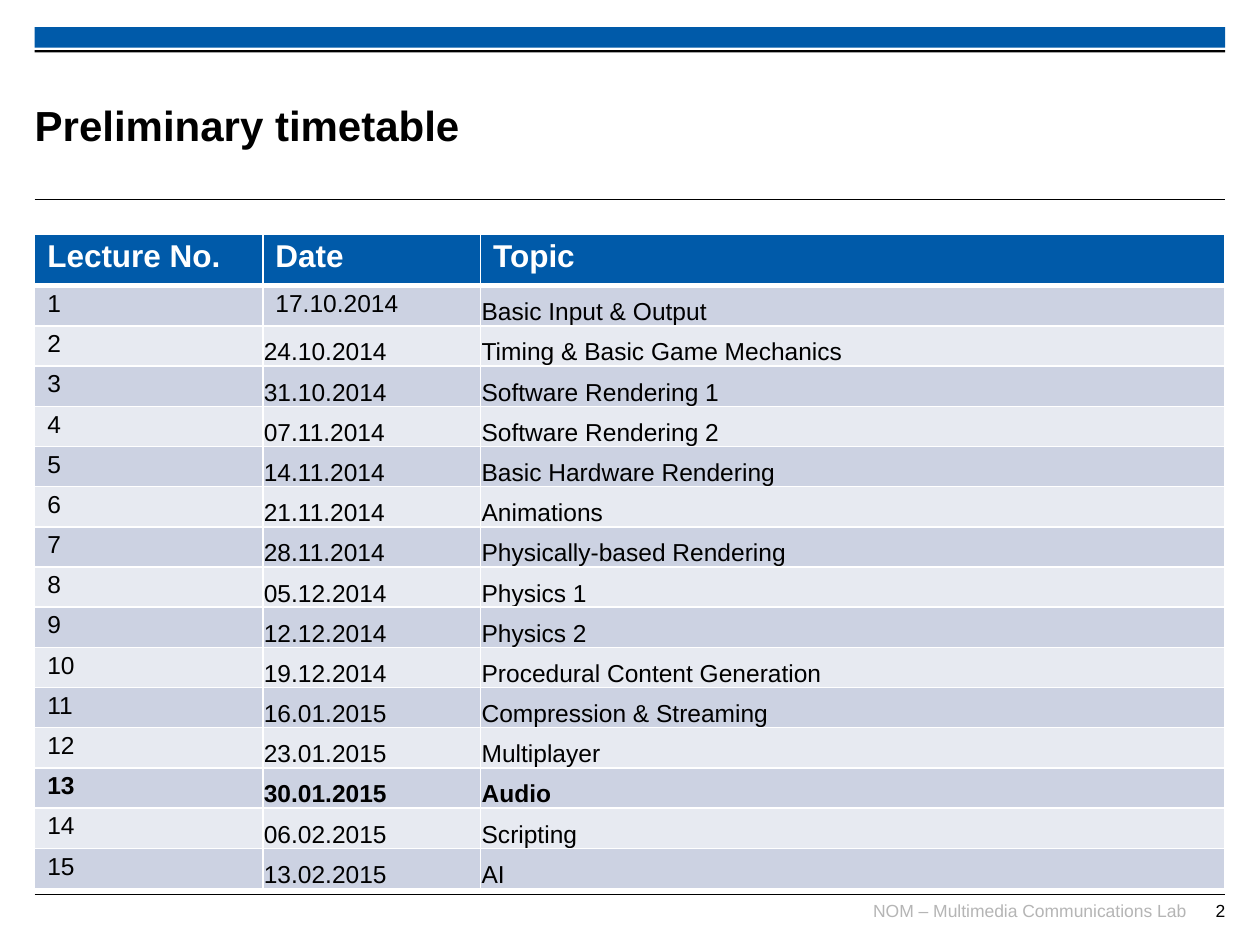
"""Build the lecture timetable slide."""
from lxml import etree
from pptx import Presentation, util as u
from pptx.dml.color import RGBColor
from pptx.enum import shapes, text
from pptx.oxml import ns

HUES = {"blue": "005AA9", "black": "000000", "white": "FFFFFF",
        "grey": "B5B5B5", "odd": "CCD2E2", "even": "E7EAF1"}


def write(para, words, size, hue, bold=False):
    run = para.add_run()
    run.text = words
    run.font.name = "Arial"
    run.font.size = u.Pt(size)
    run.font.bold = bold
    run.font.color.rgb = RGBColor.from_string(HUES[hue])


def edge(cell, side, width):
    line = etree.SubElement(cell._tc.get_or_add_tcPr(), ns.qn("a:ln" + side), w=str(u.Pt(width)))
    fill = etree.SubElement(line, ns.qn("a:solidFill"))
    etree.SubElement(fill, ns.qn("a:srgbClr"), val=HUES["white"])


deck = Presentation()
deck.slide_width, deck.slide_height = u.Cm(25.4), u.Cm(19.05)
slide = deck.slides.add_slide(deck.slide_layouts[5])
left, wide = 0.7, 24

for top, high, hue in [(0.55, 0.41, "blue"), (1.01, 0.05, "black")]:
    bar = slide.shapes.add_shape(shapes.MSO_SHAPE.RECTANGLE,
                                 u.Cm(left), u.Cm(top), u.Cm(wide), u.Cm(high))
    bar.shadow.inherit = False
    bar.fill.solid()
    bar.fill.fore_color.rgb = RGBColor.from_string(HUES[hue])
    bar.line.fill.background()

for top in (4.03, 18.03):
    rule = slide.shapes.add_connector(shapes.MSO_CONNECTOR.STRAIGHT, u.Cm(left), u.Cm(top),
                                      u.Cm(left + wide), u.Cm(top))
    rule.line.color.rgb = RGBColor.from_string(HUES["black"])
    rule.line.width = u.Pt(0.6)
    etree.SubElement(rule._element.spPr, ns.qn("a:effectLst"))

title = slide.shapes.title
title.left, title.top, title.width, title.height = u.Cm(left), u.Cm(1.35), u.Cm(19.1), u.Cm(2.34)
foot = slide.shapes.add_textbox(u.Cm(17.3), u.Cm(18.14), u.Cm(6.61), u.Cm(0.62))
page = slide.shapes.add_textbox(u.Cm(23.61), u.Cm(18.14), u.Cm(1.09), u.Cm(0.62))
for box, words, size, hue, side, hold in [
        (title, "Preliminary timetable", 24, "black", "LEFT", "MIDDLE"),
        (foot, "NOM – Multimedia Communications Lab", 10, "grey", "RIGHT", "TOP"),
        (page, "2", 10, "black", "RIGHT", "TOP")]:
    frame = box.text_frame
    frame.word_wrap = True
    frame.auto_size = text.MSO_AUTO_SIZE.NONE
    frame.margin_left = frame.margin_right = frame.margin_top = frame.margin_bottom = 0
    frame.vertical_anchor = text.MSO_ANCHOR[hold]
    para = frame.paragraphs[0]
    para.alignment = text.PP_ALIGN[side]
    write(para, words, size, hue, box is title)

plan = [("17.10.2014", "Basic Input & Output"),
        ("24.10.2014", "Timing & Basic Game Mechanics"),
        ("31.10.2014", "Software Rendering 1"),
        ("07.11.2014", "Software Rendering 2"),
        ("14.11.2014", "Basic Hardware Rendering"),
        ("21.11.2014", "Animations"),
        ("28.11.2014", "Physically-based Rendering"),
        ("05.12.2014", "Physics 1"),
        ("12.12.2014", "Physics 2"),
        ("19.12.2014", "Procedural Content Generation"),
        ("16.01.2015", "Compression & Streaming"),
        ("23.01.2015", "Multiplayer"),
        ("30.01.2015", "Audio"),
        ("06.02.2015", "Scripting"),
        ("13.02.2015", "AI")]
rows = [("Lecture No.", "Date", "Topic")]
rows += [(str(num), *item) for num, item in enumerate(plan, 1)]

table = slide.shapes.add_table(len(rows), 3, u.Cm(left), u.Cm(4.73),
                               u.Cm(wide), u.Cm(13.18)).table
table.first_row = table.horz_banding = False
for col, width in zip(table.columns, (4.6, 4.39, 15.01)):
    col.width = u.Cm(width)

for r, row in enumerate(rows):
    head = r == 0
    table.rows[r].height = u.Cm(1.03 if head else 0.81)
    for c, words in enumerate(row):
        cell = table.cell(r, c)
        if r > 1 and c or r == 1 and c == 2:
            cell.vertical_anchor = text.MSO_ANCHOR.BOTTOM
            cell.margin_left = cell.margin_right = cell.margin_top = u.Cm(0.02)
            cell.margin_bottom = 0
        for side, width in [("L", 1), ("R", 1), ("T", 3 if r == 1 else 1), ("B", 3 if head else 1)]:
            edge(cell, side, width)
        cell.fill.solid()
        tint = "blue" if head else "odd" if r % 2 else "even"
        cell.fill.fore_color.rgb = RGBColor.from_string(HUES[tint])
        para = cell.text_frame.paragraphs[0]
        para.alignment = text.PP_ALIGN.LEFT
        para.line_spacing = 0.93
        write(para, words, 18 if head else 14, "white" if head else "black", r in (0, 13))

deck.save("out.pptx")
